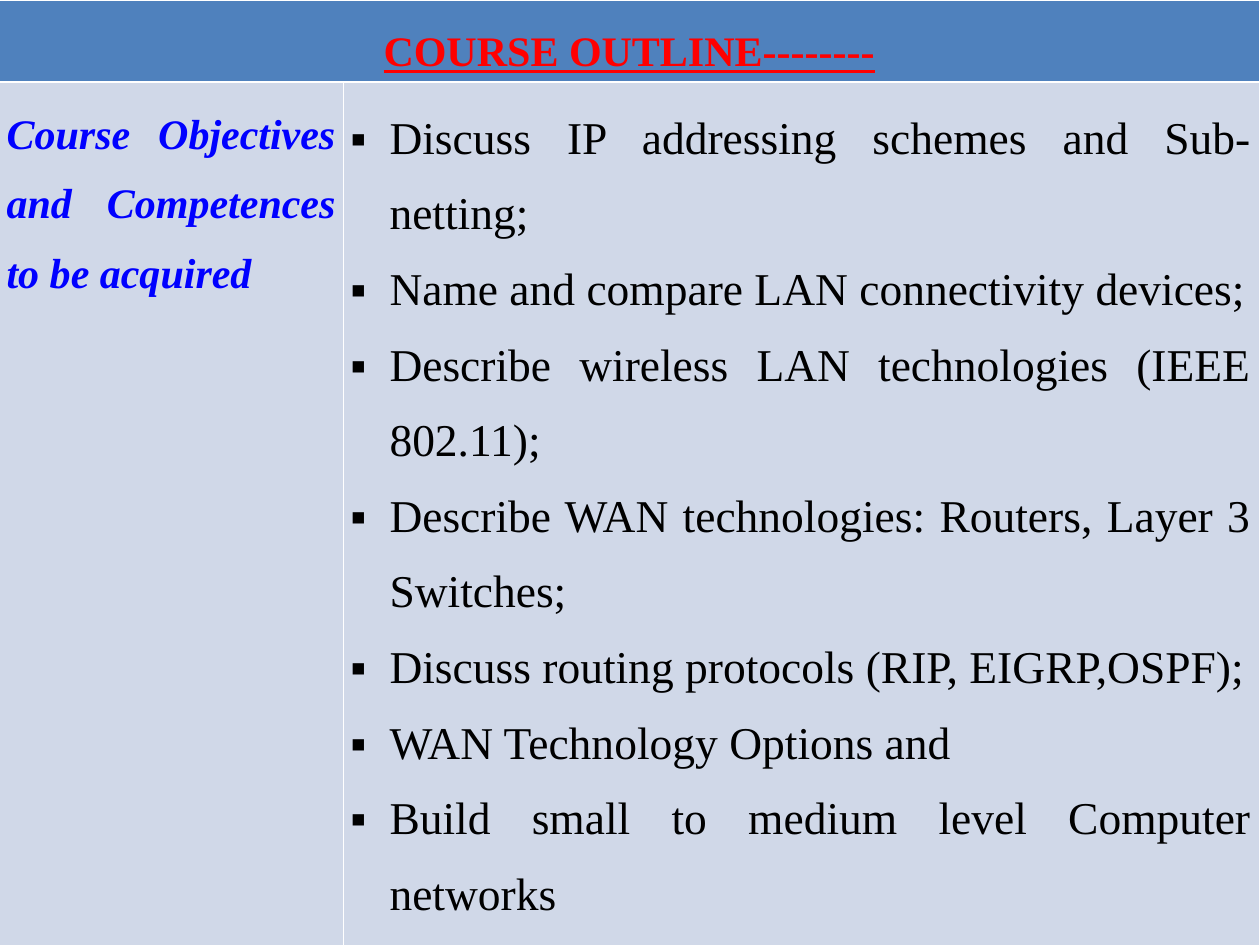
from dataclasses import dataclass
from typing import Any

from pptx import Presentation
from pptx.dml.color import RGBColor as Rgb
from pptx.enum.text import PP_ALIGN as Align
from pptx.oxml.ns import qn
from pptx.util import Pt
from lxml.etree import SubElement, Element

COLOURS = {
    "header": "4F81BD",
    "body": "D0D8E8",
    "border": "FFFFFF",
    "title": "FF0000",
    "topic": "0000FF",
    "text": "000000",
}
OBJECTIVES = [
    "Discuss IP addressing schemes and Sub-netting;",
    "Name and compare LAN connectivity devices;",
    "Describe wireless LAN technologies (IEEE 802.11);",
    "Describe WAN technologies: Routers, Layer 3 Switches;",
    "Discuss routing protocols (RIP, EIGRP,OSPF);",
    "WAN Technology Options and",
    "Build small to medium level Computer networks",
]
THIN, THICK = 0.45, 1.47


@dataclass
class OutlineSlide:
    page: Any
    font: str = "Times New Roman"
    line_spacing: float = 1.5
    bullet: str = "▪"
    bullet_indent: float = 22.3

    def table(self, left, top, widths, heights):
        frame = self.page.shapes.add_table(
            len(heights), len(widths), Pt(left), Pt(top),
            Pt(sum(widths)), Pt(sum(heights)))
        table = frame.table
        for column, width in zip(table.columns, widths):
            column.width = Pt(width)
        for row, height in zip(table.rows, heights):
            row.height = Pt(height)
        return table

    def cell(self, cell, fill, side_margin, top_line=THIN, bottom_line=THIN):
        cell.margin_left = cell.margin_right = Pt(side_margin)
        cell.margin_top = cell.margin_bottom = Pt(3.6)
        cell.fill.solid()
        cell.fill.fore_color.rgb = Rgb.from_string(COLOURS[fill])
        self.borders(cell, {"L": THIN, "R": THIN, "T": top_line, "B": bottom_line})

    def borders(self, cell, widths):
        """Put the border lines ahead of the cell fill, as the schema asks."""
        properties = cell._tc.get_or_add_tcPr()
        for index, (side, width) in enumerate(widths.items()):
            line = Element(qn(f"a:ln{side}"), w=str(int(Pt(width))))
            solid = SubElement(line, qn("a:solidFill"))
            SubElement(solid, qn("a:srgbClr"), val=COLOURS["border"])
            properties.insert(index, line)

    def paragraphs(self, cell, texts, size, colour, align,
                   bulleted=False, **emphasis):
        frame = cell.text_frame
        for index, text in enumerate(texts):
            para = frame.add_paragraph() if index else frame.paragraphs[0]
            para.alignment = align
            para.line_spacing = self.line_spacing
            if bulleted:
                self.add_bullet(para, colour)
            span = para.add_run()
            span.text = text
            span.font.name = self.font
            span.font.size = Pt(size)
            span.font.color.rgb = Rgb.from_string(COLOURS[colour])
            span.font.bold = emphasis.get("bold", False)
            span.font.italic = emphasis.get("italic", False)
            span.font.underline = emphasis.get("underline", False)

    def add_bullet(self, para, colour):
        properties = para._p.get_or_add_pPr()
        indent = int(Pt(self.bullet_indent))
        properties.set("marL", str(indent))
        properties.set("indent", str(-indent))
        bullet_colour = SubElement(properties, qn("a:buClr"))
        SubElement(bullet_colour, qn("a:srgbClr"), val=COLOURS[colour])
        SubElement(properties, qn("a:buFont"), typeface=self.font)
        SubElement(properties, qn("a:buChar"), char=self.bullet)


def main():
    deck = Presentation()
    deck.slide_width, deck.slide_height = Pt(720), Pt(540)
    outline = OutlineSlide(deck.slides.add_slide(deck.slide_layouts[6]))

    table = outline.table(-0.5, 0, widths=[196.5, 523.5], heights=[45.4, 494.6])
    title, title_end = table.rows[0].cells
    topic, objectives = table.rows[1].cells
    for part in (title, title_end):
        outline.cell(part, "header", 5.8, bottom_line=THICK)
    title.merge(title_end)
    for part in (topic, objectives):
        outline.cell(part, "body", 4.3, top_line=THICK)

    outline.paragraphs(title, ["COURSE OUTLINE--------"], 24, "title",
                       Align.CENTER, bold=True, underline=True)
    outline.paragraphs(topic, ["Course Objectives and Competences to be acquired"],
                       24, "topic", Align.JUSTIFY, bold=True, italic=True)
    outline.paragraphs(objectives, OBJECTIVES, 26, "text", Align.JUSTIFY,
                       bulleted=True)

    deck.save("out.pptx")


if __name__ == "__main__":
    main()
